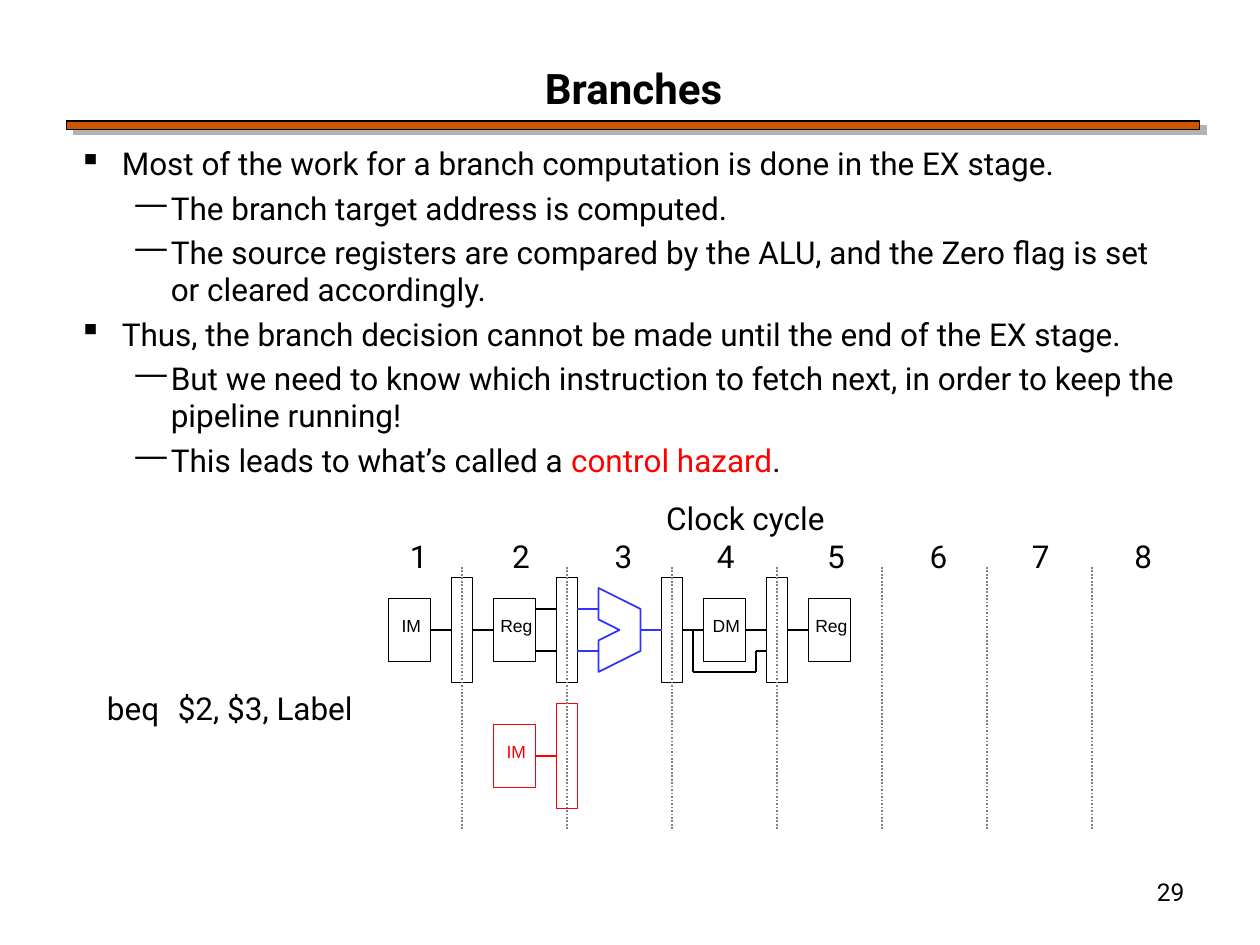
from itertools import pairwise

from lxml import etree
from pptx import Presentation
from pptx.dml.color import RGBColor
from pptx.enum.dml import MSO_LINE
from pptx.enum.shapes import MSO_CONNECTOR, MSO_SHAPE
from pptx.enum.text import MSO_ANCHOR, PP_ALIGN
from pptx.oxml.ns import qn
from pptx.util import Pt

RECT = MSO_SHAPE.RECTANGLE
STRAIGHT = MSO_CONNECTOR.STRAIGHT
DOTTED = MSO_LINE.ROUND_DOT
TOP, MIDDLE = MSO_ANCHOR.TOP, MSO_ANCHOR.MIDDLE
LEFT, CENTER, RIGHT = PP_ALIGN.LEFT, PP_ALIGN.CENTER, PP_ALIGN.RIGHT
LEFT_SIDE, RIGHT_SIDE = 1, 3

COLORS = {"black": "000000", "bar": "CC5604", "shadow": "B2B2B2",
          "red": "FF0000", "blue": "3333FF", "gray": "808080"}
BULLETS = {0: ("▪", 24.5, -24.5), 1: ("—", 52.5, -20.25)}

BODY = [
    (0, [("Most of the work for a branch computation is done in the EX stage.", "black")]),
    (1, [("The branch target address is computed.", "black")]),
    (1, [("The source registers are compared by the ALU, and the Zero flag is set "
          "or cleared accordingly.", "black")]),
    (0, [("Thus, the branch decision cannot be made until the end of the EX stage.", "black")]),
    (1, [("But we need to know which instruction to fetch next, in order to keep the "
          "pipeline running!", "black")]),
    (1, [("This leads to what’s called a ", "black"), ("control hazard", "red"),
         (".", "black")]),
]

PITCH = 60
ROW = 360
NEXT_ROW = ROW + 72
STAGE_X = 222
LATCH_X = 258
CYCLE_TABS = [40.5 + 58.5 * i + (4.5 if i > 3 else 0) for i in range(8)]


def rgb(name):
    return RGBColor.from_string(COLORS[name])


class Slide:
    font = "Roboto"
    label_font = "Arial"

    def __init__(self, prs):
        self.s = prs.slides.add_slide(prs.slide_layouts[6])

    def apply(self, obj, fmt):
        for name, value in fmt.items():
            setattr(obj, name, value)

    def run(self, p, text, size, color="black", bold=False, font=None):
        r = p.add_run()
        r.text = text
        self.apply(r.font, {"name": font or self.font, "size": Pt(size), "bold": bold})
        r.font.color.rgb = rgb(color)

    def tabs(self, p, stops):
        tab_list = etree.SubElement(p._p.get_or_add_pPr(), qn("a:tabLst"))
        for stop in stops:
            etree.SubElement(tab_list, qn("a:tab"), pos=str(Pt(stop)), algn="l")

    def text(self, box, lines, size, align=LEFT, anchor=MIDDLE, wrap=True,
             bold=False, stops=()):
        sp = self.s.shapes.add_textbox(*map(Pt, box))
        tf = sp.text_frame
        self.apply(tf, {"word_wrap": wrap, "vertical_anchor": anchor})
        for i, line in enumerate(lines):
            p = tf.paragraphs[0] if i == 0 else tf.add_paragraph()
            p.alignment = align
            if stops:
                self.tabs(p, stops)
            self.run(p, line, size, bold=bold)

    def bullets(self, box, items, size):
        tf = self.s.shapes.add_textbox(*map(Pt, box)).text_frame
        tf.word_wrap = True
        for i, (level, runs) in enumerate(items):
            p = tf.paragraphs[0] if i == 0 else tf.add_paragraph()
            char, margin, indent = BULLETS[level]
            p.level = level
            if i:
                p.space_before = Pt(size * 0.2)
            pPr = p._p.get_or_add_pPr()
            pPr.set("marL", str(Pt(margin)))
            pPr.set("indent", str(Pt(indent)))
            etree.SubElement(pPr, qn("a:buChar"), char=char)
            for text, color in runs:
                self.run(p, text, size, color)

    def outline(self, sp, color):
        sp.shadow.inherit = False
        sp.fill.background()
        sp.line.color.rgb = rgb(color)
        sp.line.width = Pt(1)

    def rect(self, x, y, w, h, color="black", label=None):
        sp = self.s.shapes.add_shape(RECT, Pt(x), Pt(y), Pt(w), Pt(h))
        self.outline(sp, color)
        if label:
            tf = sp.text_frame
            self.apply(tf, {"word_wrap": False, "vertical_anchor": MIDDLE,
                            "margin_left": Pt(2), "margin_right": 0,
                            "margin_top": 0, "margin_bottom": Pt(5)})
            p = tf.paragraphs[0]
            p.alignment = CENTER
            self.run(p, label, 10, color, font=self.label_font)
        return sp

    def bar(self, x, y, w, h):
        sp = self.rect(x, y, w, h)
        sp.fill.solid()
        sp.fill.fore_color.rgb = rgb("bar")
        effects = sp._element.spPr.find(qn("a:effectLst"))
        shadow = etree.SubElement(effects, qn("a:outerShdw"), dist=str(Pt(5)),
                                  dir=str(37 * 60000), algn="ctr", rotWithShape="0")
        etree.SubElement(shadow, qn("a:srgbClr"), val=COLORS["shadow"])

    def stage(self, col, mid, label, color="black"):
        return self.rect(STAGE_X + PITCH * col, mid - 18, 24, 36, color, label)

    def latch(self, col, mid, color="black"):
        return self.rect(LATCH_X + PITCH * col, mid - 30, 12, 60, color)

    def line(self, start, end, color="black", dash=None):
        c = self.s.shapes.add_connector(STRAIGHT, *map(Pt, (*start, *end)))
        c.line.color.rgb = rgb(color)
        c.line.width = Pt(1)
        if dash:
            c.line.dash_style = dash
        etree.SubElement(c._element.spPr, qn("a:effectLst"))
        return c

    def join(self, a, b, color="black"):
        c = self.line((0, 0), (0, 0), color)
        c.begin_connect(a, RIGHT_SIDE)
        c.end_connect(b, LEFT_SIDE)

    def polyline(self, points):
        for start, end in pairwise(points):
            self.line(start, end)

    def polygon(self, points, color):
        fb = self.s.shapes.build_freeform(*map(Pt, points[0]))
        fb.add_line_segments([(Pt(x), Pt(y)) for x, y in points[1:]], close=True)
        self.outline(fb.convert_to_shape(), color)


def main():
    prs = Presentation()
    prs.slide_width, prs.slide_height = Pt(720), Pt(540)
    s = Slide(prs)

    s.bar(38, 69, 647.5, 5)
    s.text((534, 497.5, 150, 36), ["29"], 14, RIGHT, TOP)
    s.text((38, 32, 648, 36), ["Branches"], 24, CENTER, bold=True)
    s.bullets((38, 79, 646, 413), BODY, 18)

    latches = [s.latch(i, ROW) for i in range(4)]
    fetch, decode, memory, write = [
        s.stage(col, ROW, label)
        for col, label in ((0, "IM"), (1, "Reg"), (3, "DM"), (4, "Reg"))]
    for a, b in ((fetch, latches[0]), (latches[0], decode), (latches[2], memory),
                 (memory, latches[3]), (latches[3], write)):
        s.join(a, b)

    for y in (ROW - 12, ROW + 12):
        s.line((306, y), (318, y))
        s.line((330, y), (342, y), "blue")
    s.polygon([(342, ROW - 24), (366, ROW - 12), (366, ROW + 12), (342, ROW + 24),
               (342, ROW + 6), (354, ROW), (342, ROW - 6)], "blue")
    s.line((366, ROW), (378, ROW), "blue").end_connect(latches[2], LEFT_SIDE)
    s.polyline([(396, ROW), (396, ROW + 24), (432, ROW + 24),
                (432, ROW + 12), (438, ROW + 12)])

    s.join(s.stage(1, NEXT_ROW, "IM", "red"), s.latch(1, NEXT_ROW, "red"), "red")

    s.text((54, 390, 162, 29), ["beq\t$2, $3, Label"], 18, wrap=False, stops=[40.5])
    s.text((186.5, 281.5, 479, 51),
           ["Clock cycle", "".join(f"\t{n}" for n in range(1, 9))],
           18, CENTER, wrap=False, stops=CYCLE_TABS)
    for i in range(7):
        x = LATCH_X + 6 + PITCH * i
        s.line((x, 324), (x, 474), "gray", DOTTED)

    prs.save("out.pptx")


if __name__ == "__main__":
    main()
